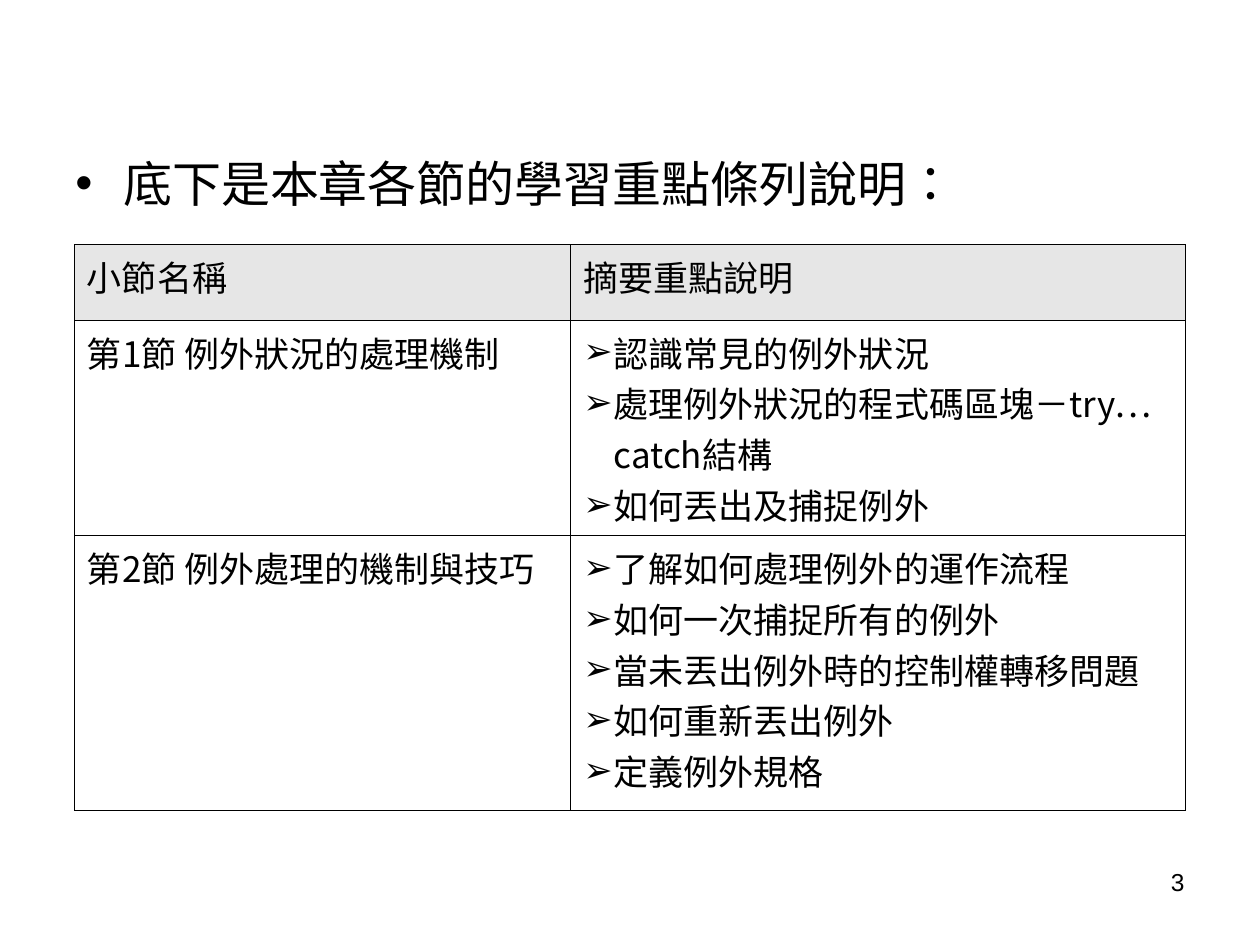
"""Build the chapter overview slide with its table of sections and key points."""
from dataclasses import dataclass

from lxml import etree
from pptx import Presentation
from pptx import util as u
from pptx.dml.color import RGBColor
from pptx.enum import lang, text
from pptx.oxml.ns import qn

COLOURS = {"ink": "000000", "header": "E6E6E6"}
LATIN, CJK = "Arial", "Noto Sans CJK SC"
COLUMN_WIDTHS = (3.94, 4.88)
ROW_HEIGHTS = (0.6, 1.71, 2.18)


@dataclass(frozen=True)
class Section:
    name: str
    points: tuple[str, ...]


HEADINGS = ("小節名稱", "摘要重點說明")
SECTIONS = (
    Section("第1節 例外狀況的處理機制", (
        "認識常見的例外狀況",
        "處理例外狀況的程式碼區塊－try…catch結構",
        "如何丟出及捕捉例外",
    )),
    Section("第2節 例外處理的機制與技巧", (
        "了解如何處理例外的運作流程",
        "如何一次捕捉所有的例外",
        "當未丟出例外時的控制權轉移問題",
        "如何重新丟出例外",
        "定義例外規格",
    )),
)


def add_colour(parent, tag: str) -> None:
    holder = etree.SubElement(parent, qn(tag))
    etree.SubElement(holder, qn("a:srgbClr"), val=COLOURS["ink"])


def set_font(para, size: float, name: str) -> None:
    font = para.font
    font.size, font.name = u.Pt(size), name
    font.color.rgb = RGBColor.from_string(COLOURS["ink"])


def set_bullet(para, symbol: str, indent: float) -> None:
    props = para._p.get_or_add_pPr()
    props.set("marL", str(u.Inches(indent)))
    props.set("indent", str(-u.Inches(indent)))
    add_colour(props, "a:buClr")
    etree.SubElement(props, qn("a:buFont"), typeface=LATIN)
    etree.SubElement(props, qn("a:buChar"), char=symbol)


def add_text(page, left: float, top: float, width: float, height: float, words: str):
    box = page.shapes.add_textbox(*map(u.Inches, (left, top, width, height)))
    box.text_frame.word_wrap = True
    para = box.text_frame.paragraphs[0]
    para.text = words
    return para


def fill_cell(cell, lines: tuple[str, ...], bullet: str = "", colour: str = "") -> None:
    props = cell._tc.get_or_add_tcPr()
    for side in ("a:lnL", "a:lnR", "a:lnT", "a:lnB"):
        border = etree.SubElement(props, qn(side), w=str(u.Pt(0.45)))
        add_colour(border, "a:solidFill")
    if colour:
        cell.fill.solid()
        cell.fill.fore_color.rgb = RGBColor.from_string(colour)
    else:
        cell.fill.background()
    cell.text = "\n".join(lines)
    for para in cell.text_frame.paragraphs:
        if bullet:
            set_bullet(para, bullet, 0.24)
        set_font(para, 20, CJK)


def add_section_table(page) -> None:
    frame = page.shapes.add_table(
        len(ROW_HEIGHTS), len(COLUMN_WIDTHS), u.Inches(0.59), u.Inches(1.94),
        u.Inches(sum(COLUMN_WIDTHS)), u.Inches(sum(ROW_HEIGHTS)))
    table = frame.table
    table.first_row = table.horz_banding = False
    for column, width in zip(table.columns, COLUMN_WIDTHS):
        column.width = u.Inches(width)
    for row, height in zip(table.rows, ROW_HEIGHTS):
        row.height = u.Inches(height)
    for index, heading in enumerate(HEADINGS):
        fill_cell(table.cell(0, index), (heading,), colour=COLOURS["header"])
    for index, section in enumerate(SECTIONS, start=1):
        fill_cell(table.cell(index, 0), (section.name,))
        fill_cell(table.cell(index, 1), section.points, bullet="➢")


def main() -> None:
    deck = Presentation()
    deck.slide_width, deck.slide_height = u.Inches(10), u.Inches(7.5)
    page = deck.slides.add_slide(deck.slide_layouts[6])

    intro = add_text(page, 0.5, 1.17, 8.67, 5.5, "底下是本章各節的學習重點條列說明：")
    intro.space_before = u.Pt(7)
    set_bullet(intro, "•", 0.38)
    set_font(intro, 28, LATIN)
    intro.runs[0].font.language_id = lang.MSO_LANGUAGE_ID.TRADITIONAL_CHINESE

    add_section_table(page)

    number = add_text(page, 7.17, 6.83, 2.33, 0.52, "3")
    number.alignment = text.PP_ALIGN.RIGHT
    set_font(number, 14, LATIN)

    deck.save("out.pptx")


if __name__ == "__main__":
    main()
